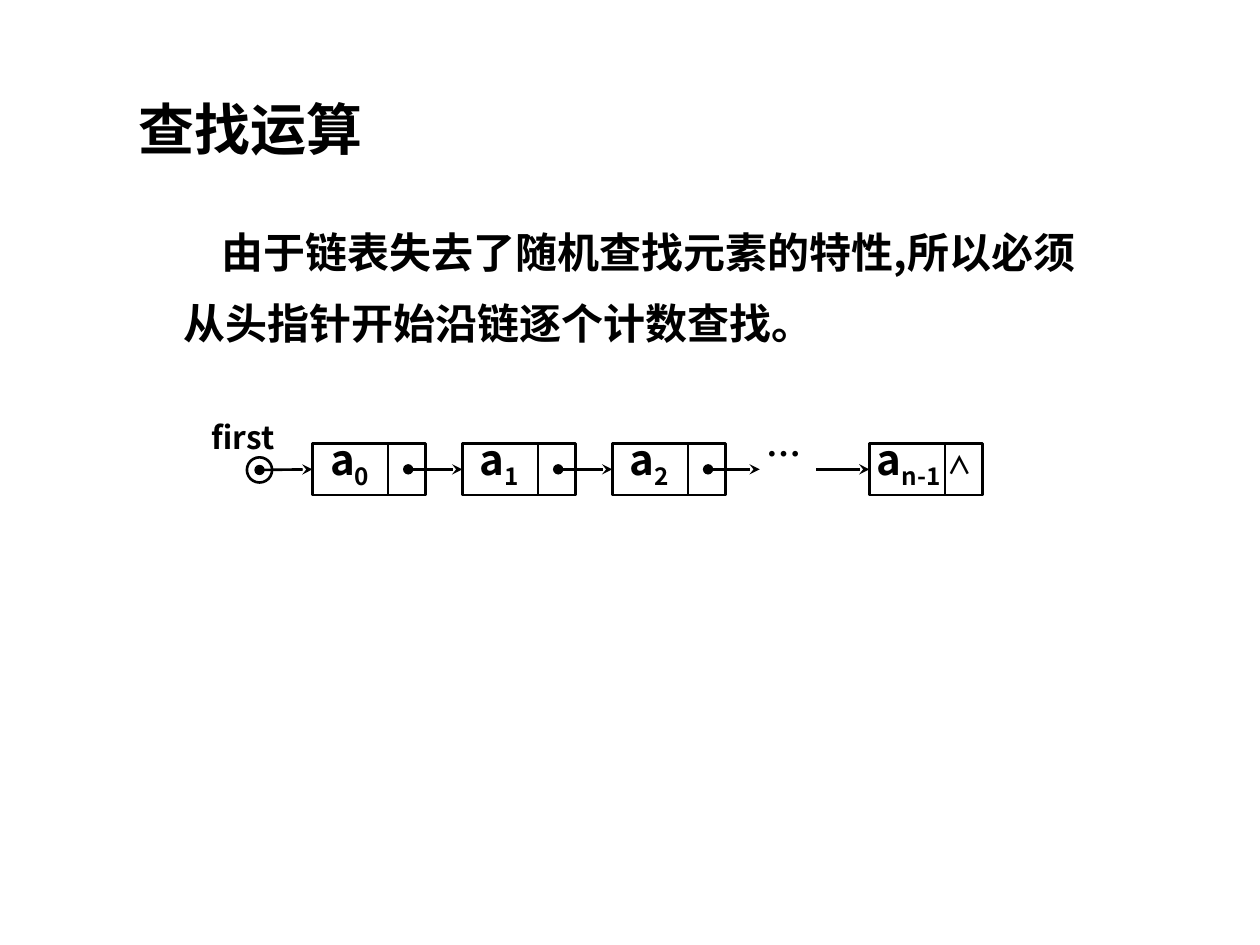
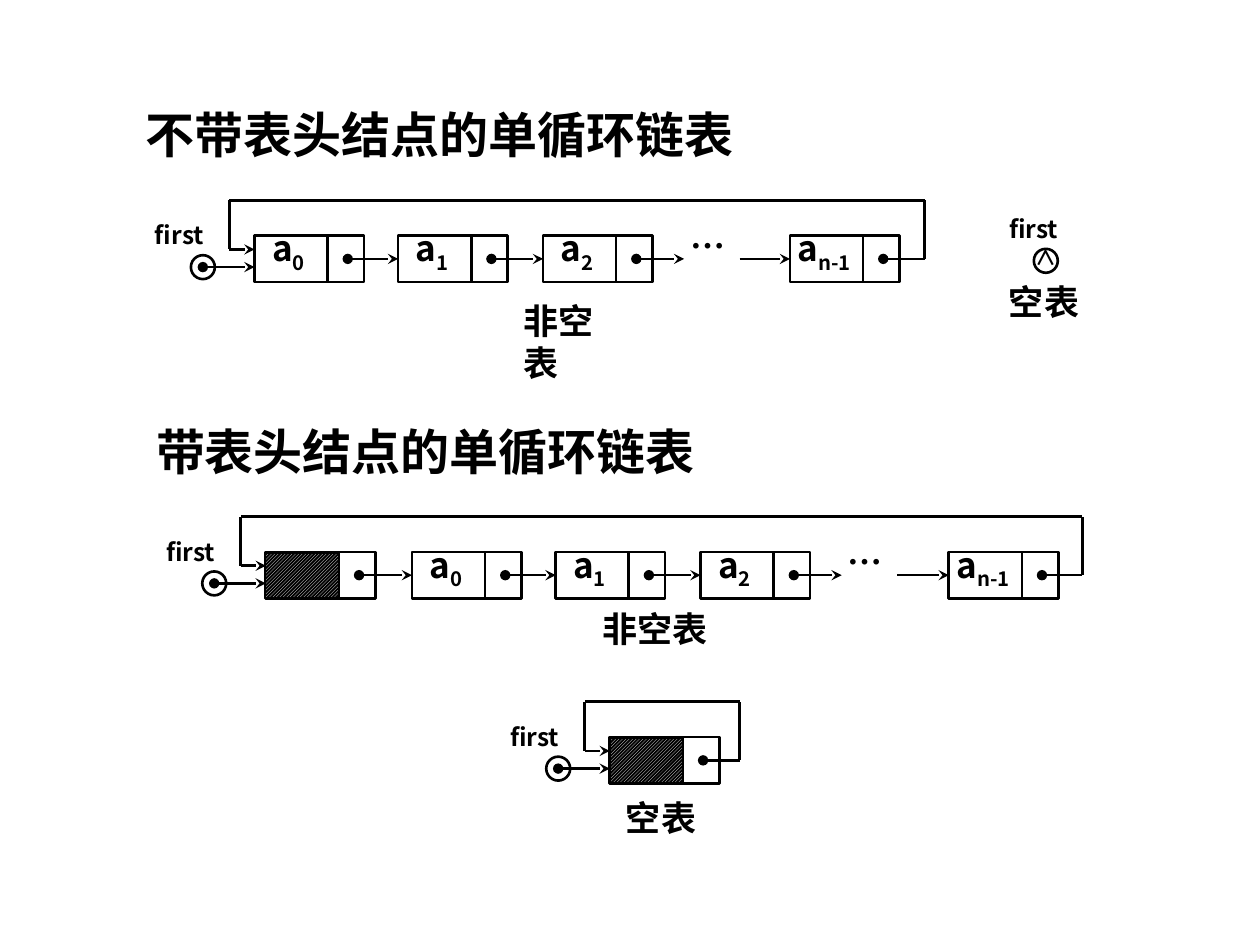
"""Build two slides on linked-list search and circular linked lists."""
from dataclasses import dataclass

from lxml import etree
from pptx import Presentation
from pptx import util as u
from pptx.dml.color import RGBColor
from pptx.enum import dml, shapes, text
from pptx.oxml.ns import qn


@dataclass(frozen=True)
class Theme:
    font: str = "Noto Sans CJK SC"
    ink: RGBColor = RGBColor(0, 0, 0)
    paper: RGBColor = RGBColor(255, 255, 255)
    line: float = 1.5
    thin: float = 0.75
    title: int = 32
    heading: int = 28
    body: int = 24
    caption: int = 20
    dots: int = 20
    null: int = 14
    small_null: int = 12


T = Theme()


def add_text(s, box, words, size, sub="", inset=True, wrap=True, spacing=None, indent=0):
    tb = s.shapes.add_textbox(*map(u.Inches, box))
    tf = tb.text_frame
    tf.word_wrap = wrap
    tf.auto_size = text.MSO_AUTO_SIZE.SHAPE_TO_FIT_TEXT
    if not inset:
        tf.margin_left = tf.margin_right = tf.margin_top = tf.margin_bottom = 0
    p = tf.paragraphs[0]
    if spacing:
        p.line_spacing = spacing
    if indent:
        pPr = p._p.get_or_add_pPr()
        pPr.set("marL", "0")
        pPr.set("indent", str(u.Inches(indent)))
    for part, baseline in ((words, None), (sub, "-25000")):
        if not part:
            continue
        r = p.add_run()
        r.text = part
        r.font.size = u.Pt(size)
        r.font.bold = True
        r.font.color.rgb = T.ink
        r.font.name = T.font
        rPr = r._r.get_or_add_rPr()
        etree.SubElement(rPr, qn("a:ea")).set("typeface", T.font)
        if baseline:
            rPr.set("baseline", baseline)


def add_line(s, start, end, head=None, tail=None, target=None):
    cn = s.shapes.add_connector(shapes.MSO_CONNECTOR.STRAIGHT, *map(u.Inches, start + end))
    cn.line.color.rgb = T.ink
    cn.line.width = u.Pt(T.line)
    spPr = cn._element.spPr
    ln = spPr.find(qn("a:ln"))
    for tag, kind in (("a:headEnd", head), ("a:tailEnd", tail)):
        if kind:
            etree.SubElement(ln, qn(tag)).set("type", kind)
    etree.SubElement(spPr, qn("a:effectLst"))
    if target is not None:
        cn.end_connect(target, 1)


prs = Presentation()
prs.slide_width, prs.slide_height = u.Inches(10), u.Inches(7.5)
search, circular = [prs.slides.add_slide(prs.slide_layouts[6]) for _ in range(2)]

add_text(search, (1, 0.65, 2.99, 0.67), "查找运算", T.title, spacing=1.1)
add_text(search, (1.36, 1.59, 7.48, 1.23),
         "由于链表失去了随机查找元素的特性,所以必须从头指针开始沿链逐个计数查找。",
         T.body, spacing=1.4, indent=0.3)

for box, words, size in (
    ((1.06, 0.78, 4.87, 0.57), "不带表头结点的单循环链表", T.heading),
    ((1.14, 3.3, 4.48, 0.57), "带表头结点的单循环链表", T.heading),
    ((4.06, 2.33, 1.03, 0.43), "非空表", T.caption),
    ((7.91, 2.18, 0.76, 0.43), "空表", T.caption),
    ((4.68, 4.77, 1.04, 0.43), "非空表", T.caption),
    ((4.87, 6.27, 0.76, 0.43), "空表", T.caption),
):
    add_text(circular, box, words, size, wrap=False)

large = dict(w=0.9, h=0.41, data=0.6, dot=0.76, link=1.17, dots=1.22, resume=1.62,
             rise=0.08, label=24, first=18, ptr_x=0.42, ptr_y=0.21, ptr_d=0.2, name_y=0.41)
small = dict(w=0.87, h=0.37, data=0.58, dot=0.74, link=1.12, dots=1.17, resume=1.56,
             rise=0.07, label=20, first=14, ptr_x=0.41, ptr_y=0.25, ptr_d=0.19, name_y=0.37)
HEAD = "head"
chains = (
    (search, large, 3.52, (("0", 2.48), ("1", 3.67), ("2", 4.86), ("n-1", 6.9)), None),
    (circular, small, 1.87, (("0", 2.02), ("1", 3.16), ("2", 4.31), ("n-1", 6.27)), 7.34),
    (circular, small, 4.38,
     ((HEAD, 2.11), ("0", 3.27), ("1", 4.41), ("2", 5.56), ("n-1", 7.53)), 8.59),
    (circular, small, 5.85, ((HEAD, 4.84),), 5.87),
)
pointers = [(circular, small, 8.3, 2.07)]

for s, g, y, nodes, loop_right in chains:
    mid = y + g["h"] / 2
    boxes = []
    for key, x in nodes:
        sp = s.shapes.add_shape(shapes.MSO_SHAPE.RECTANGLE,
                                *map(u.Inches, (x, y, g["w"], g["h"])))
        sp.shadow.inherit = False
        sp.fill.background()
        sp.line.color.rgb = T.ink
        sp.line.width = u.Pt(T.line)
        boxes.append(sp)
        split = x + g["data"]
        add_line(s, (split, y), (split, y + g["h"]))
        if key == HEAD:
            sp = s.shapes.add_shape(shapes.MSO_SHAPE.RECTANGLE,
                                    *map(u.Inches, (x, y + 0.01, g["data"], g["h"] - 0.02)))
            sp.shadow.inherit = False
            sp.fill.patterned()
            sp.fill.pattern = dml.MSO_PATTERN.LIGHT_UPWARD_DIAGONAL
            sp.fill.fore_color.rgb = T.paper
            sp.fill.back_color.rgb = T.ink
            sp.line.color.rgb = T.ink
            sp.line.width = u.Pt(T.thin)
        else:
            dx, width = (0.06, 0.53) if key == "n-1" else (0.14, 0.4)
            add_text(s, (x + dx, y - g["rise"], width, g["h"]), "a", g["label"],
                     sub=key, inset=False)

    for i, (key, x) in enumerate(nodes[:-1]):
        start = (x + g["dot"], mid)
        if key != "2":
            add_line(s, start, (nodes[i + 1][1], mid), "oval", "stealth", boxes[i + 1])
            continue
        add_line(s, start, (x + g["link"], mid), "oval", "stealth")
        add_text(s, (x + g["dots"], y - 0.09, 0.4, 0.33), "…", T.dots, inset=False)
        add_line(s, (x + g["resume"], mid), (nodes[i + 1][1], mid),
                 tail="stealth", target=boxes[i + 1])

    first, last = nodes[0][1], nodes[-1][1]
    px, py = first - g["ptr_x"], y + g["ptr_y"]
    pointers.append((s, g, px, py))
    add_line(s, (px, py), (first, py), "oval", "stealth",
             None if loop_right else boxes[0])

    if loop_right:
        left, top, entry = first - 0.2, y - 0.28, y + 0.11
        route = [(last + g["dot"], mid), (loop_right, mid), (loop_right, top),
                 (left, top), (left, entry), (first, entry)]
        ends = ["oval", None, None, None, None], [None, None, None, None, "stealth"]
        for start, end, head, tail in zip(route, route[1:], *ends):
            add_line(s, start, end, head, tail)
    else:
        add_text(s, (last + 0.62, y + 0.05, 0.3, 0.24), "∧", T.null, inset=False)

for s, g, x, y in pointers:
    d = g["ptr_d"]
    sp = s.shapes.add_shape(shapes.MSO_SHAPE.OVAL, *map(u.Inches, (x - d / 2, y - d / 2, d, d)))
    sp.shadow.inherit = False
    sp.fill.background()
    sp.line.color.rgb = T.ink
    sp.line.width = u.Pt(T.line)
    name_x = x - (0.29 if (s, g, x, y) == pointers[0] else 0.38)
    add_text(s, (name_x, y - g["name_y"], 0.78, 0.27), "first", g["first"], inset=False)

add_text(circular, (8.12, 1.89, 0.39, 0.3), "∧", T.small_null)

prs.save("out.pptx")
